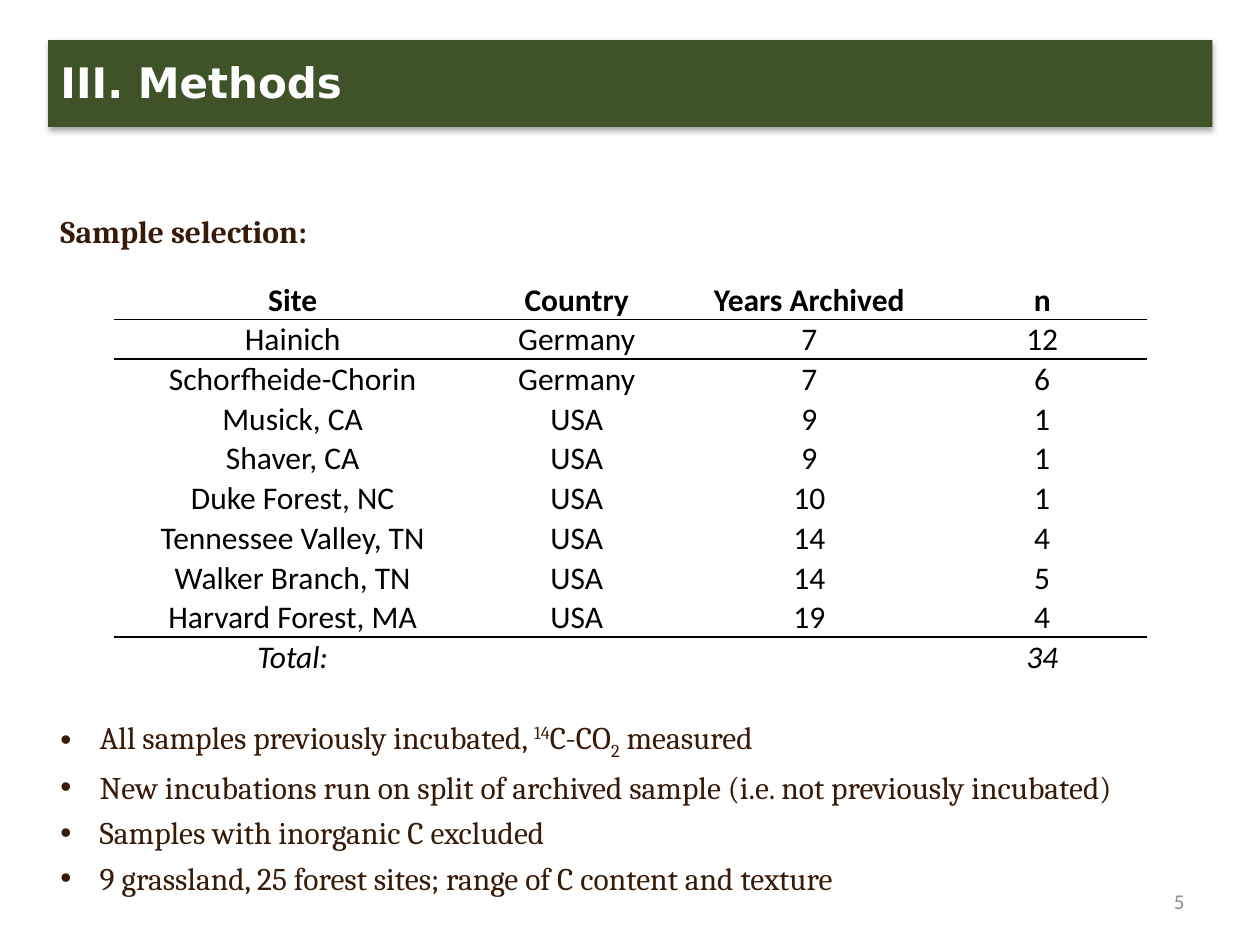
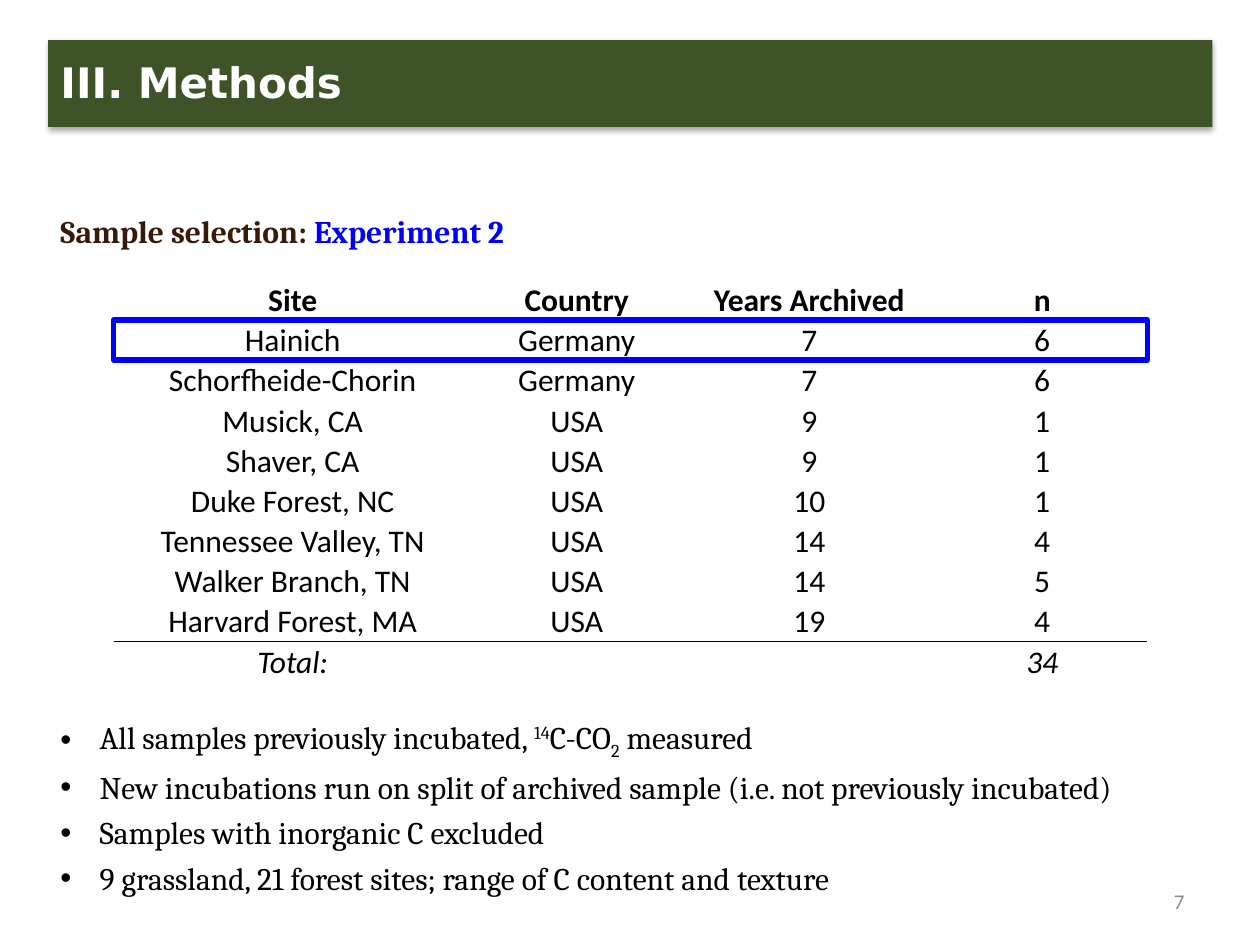
from lxml.etree import SubElement
from pptx import Presentation
from pptx.dml.color import RGBColor
from pptx.enum.shapes import MSO_SHAPE
from pptx.enum.text import MSO_ANCHOR, MSO_AUTO_SIZE, PP_ALIGN
from pptx.oxml.ns import qn
from pptx.util import Cm, Pt

GREEN = RGBColor(0x3F, 0x53, 0x28)
BROWN = RGBColor(0x37, 0x1A, 0x07)
BLACK = RGBColor(0x00, 0x00, 0x00)
WHITE = RGBColor(0xFF, 0xFF, 0xFF)
BLUE = RGBColor(0x00, 0x00, 0xFF)
GREY = RGBColor(0x8C, 0x8C, 0x8C)

TITLE_FONT = {"name": "DejaVu Sans", "size": Pt(24), "bold": True, "color": WHITE}
HEADING_FONT = {"name": "Cambria", "size": Pt(18), "bold": True, "color": BROWN}
BODY_FONT = {"name": "Cambria", "size": Pt(18)}
TABLE_FONT = {"name": "Calibri", "size": Pt(18), "color": BLACK}
NUMBER_FONT = {"name": "Calibri", "size": Pt(12), "color": GREY}

LEFT = 0.97
BAND_WIDTH = 23.47
TABLE_LEFT = 2.29
TABLE_TOP = 5.64
COLUMN_WIDTHS = (7.22, 4.23, 5.15, 4.24)
NO_TABLE_STYLE = "{2D5ABB26-0587-4C30-8999-92F81FD0307C}"

HEADER = ("Site", "Country", "Years Archived", "n")
OTHER_SITES = (
    ("Schorfheide-Chorin", "Germany", "7", "6"),
    ("Musick, CA", "USA", "9", "1"),
    ("Shaver, CA", "USA", "9", "1"),
    ("Duke Forest, NC", "USA", "10", "1"),
    ("Tennessee Valley, TN", "USA", "14", "4"),
    ("Walker Branch, TN", "USA", "14", "5"),
    ("Harvard Forest, MA", "USA", "19", "4"),
)
TOTAL = ("Total:", "", "", "34")
INCUBATED = (
    ("All samples previously incubated, ", 0),
    ("14", 30),
    ("C-CO", 0),
    ("2", -25),
    (" measured", 0),
)


def add_run(paragraph, text, font_format, baseline=0):
    """Add a run with the given font format and baseline shift in percent."""
    run = paragraph.add_run()
    run.text = text
    for name, value in font_format.items():
        if name == "color":
            run.font.color.rgb = value
        else:
            setattr(run.font, name, value)
    if baseline:
        run.font._element.set("baseline", str(baseline * 1000))


def add_text_box(slide, left, top, width, height):
    """Add a wrapping text box and return its text frame."""
    text_frame = slide.shapes.add_textbox(
        Cm(left), Cm(top), Cm(width), Cm(height)
    ).text_frame
    text_frame.word_wrap = True
    return text_frame


def add_rectangle(slide, left, top, width, height):
    """Add a rectangle without shadow."""
    shape = slide.shapes.add_shape(
        MSO_SHAPE.RECTANGLE, Cm(left), Cm(top), Cm(width), Cm(height)
    )
    shape.shadow.inherit = False
    return shape


def add_soft_shadow(shape):
    """Give a shape a soft shadow that falls straight down."""
    effects = shape._element.spPr.find(qn("a:effectLst"))
    shadow = SubElement(
        effects, qn("a:outerShdw"), blurRad="40000", dist="23000",
        dir="5400000", rotWithShape="0",
    )
    color = SubElement(shadow, qn("a:srgbClr"), val=str(BLACK))
    SubElement(color, qn("a:alpha"), val="35000")


def add_title_band(slide, title):
    """Add the green band with the section title."""
    band = add_rectangle(slide, LEFT, 0.81, BAND_WIDTH, 1.75)
    band.fill.solid()
    band.fill.fore_color.rgb = GREEN
    band.line.fill.background()
    add_soft_shadow(band)
    text_frame = add_text_box(slide, LEFT, 1.02, BAND_WIDTH, 1.27)
    add_run(text_frame.paragraphs[0], title, TITLE_FONT)


def add_heading(slide, heading, experiment):
    """Add the heading, followed by the experiment name in blue if any."""
    text_frame = add_text_box(slide, LEFT, 3.99, 17.7, 1.14)
    paragraph = text_frame.paragraphs[0]
    paragraph.line_spacing = 1.2
    paragraph.space_after = Pt(12)
    if experiment:
        add_run(paragraph, heading + " ", HEADING_FONT)
        add_run(paragraph, experiment, HEADING_FONT | {"color": BLUE})
    else:
        add_run(paragraph, heading, HEADING_FONT)


def add_border(cell, side):
    """Draw a thin black border on one side of a cell."""
    line = SubElement(cell._tc.get_or_add_tcPr(), qn(f"a:{side}"), w=str(Pt(1)))
    fill = SubElement(line, qn("a:solidFill"))
    SubElement(fill, qn("a:srgbClr"), val=str(BLACK))


def fill_cell(cell, text, font_format):
    """Write centred text at the bottom of an unfilled cell."""
    cell_format = {
        "vertical_anchor": MSO_ANCHOR.BOTTOM,
        "margin_left": Cm(0.03),
        "margin_right": Cm(0.03),
        "margin_top": Cm(0.03),
        "margin_bottom": 0,
    }
    for name, value in cell_format.items():
        setattr(cell, name, value)
    cell.fill.background()
    paragraph = cell.text_frame.paragraphs[0]
    paragraph.alignment = PP_ALIGN.CENTER
    if text:
        add_run(paragraph, text, font_format)


def add_site_table(slide, rows, row_height):
    """Add the site table, ruled below its header and above its total."""
    table = slide.shapes.add_table(
        len(rows), len(HEADER), Cm(TABLE_LEFT), Cm(TABLE_TOP),
        Cm(sum(COLUMN_WIDTHS)), Cm(row_height * len(rows)),
    ).table
    table.first_row = False
    table.horz_banding = False
    table._tbl.tblPr.find(qn("a:tableStyleId")).text = NO_TABLE_STYLE
    for column, width in zip(table.columns, COLUMN_WIDTHS):
        column.width = Cm(width)
    last = len(rows) - 1
    for row_index, texts in enumerate(rows):
        table.rows[row_index].height = Cm(row_height)
        font_format = TABLE_FONT | {
            "bold": row_index == 0, "italic": row_index == last
        }
        for column_index, text in enumerate(texts):
            cell = table.cell(row_index, column_index)
            if row_index in (1, last):
                add_border(cell, "lnT")
            if row_index in (0, last - 1):
                add_border(cell, "lnB")
            fill_cell(cell, text, font_format)


def add_row_highlight(slide, row_index, row_height):
    """Frame one table row in blue."""
    frame = add_rectangle(
        slide, TABLE_LEFT, TABLE_TOP + row_index * row_height,
        sum(COLUMN_WIDTHS), row_height,
    )
    frame.fill.background()
    frame.line.color.rgb = BLUE
    frame.line.width = Pt(3)


def add_bullets(slide, bullets, color):
    """Add a bulleted list; each bullet is a series of runs."""
    text_frame = add_text_box(slide, LEFT, 14.17, 23.01, 3.91)
    text_frame.auto_size = MSO_AUTO_SIZE.SHAPE_TO_FIT_TEXT
    for index, runs in enumerate(bullets):
        paragraph = text_frame.add_paragraph() if index else text_frame.paragraphs[0]
        properties = paragraph._p.get_or_add_pPr()
        properties.set("marL", str(Cm(0.79)))
        properties.set("indent", str(-Cm(0.79)))
        SubElement(properties, qn("a:buFont"), typeface="Arial")
        SubElement(properties, qn("a:buChar"), char="•")
        paragraph.line_spacing = 1.2
        for text, baseline in runs:
            add_run(paragraph, text, BODY_FONT | {"color": color}, baseline)


def add_slide_number(slide, number):
    """Add the slide number at the bottom right."""
    text_frame = add_text_box(slide, 18.21, 17.65, 5.92, 1.02)
    text_frame.vertical_anchor = MSO_ANCHOR.MIDDLE
    paragraph = text_frame.paragraphs[0]
    paragraph.alignment = PP_ALIGN.RIGHT
    add_run(paragraph, str(number), NUMBER_FONT)


def add_methods_slide(presentation, number, hainich_count, forest_count,
                      row_height, text_color, experiment=None):
    """Add one sample selection slide, framing Hainich for an experiment."""
    slide = presentation.slides.add_slide(presentation.slide_layouts[6])
    hainich = ("Hainich", "Germany", "7", hainich_count)
    add_title_band(slide, "III. Methods")
    add_heading(slide, "Sample selection:", experiment)
    add_site_table(slide, (HEADER, hainich, *OTHER_SITES, TOTAL), row_height)
    sentences = (
        "New incubations run on split of archived sample "
        "(i.e. not previously incubated)",
        "Samples with inorganic C excluded",
        f"9 grassland, {forest_count} forest sites; "
        "range of C content and texture",
    )
    bullets = [INCUBATED, *(((sentence, 0),) for sentence in sentences)]
    add_bullets(slide, bullets, text_color)
    add_slide_number(slide, number)
    if experiment:
        add_row_highlight(slide, 1, row_height)


def main():
    """Build and save the presentation."""
    presentation = Presentation()
    presentation.slide_width = Cm(25.4)
    presentation.slide_height = Cm(19.05)
    add_methods_slide(presentation, 5, "12", 25, 0.8, BROWN)
    add_methods_slide(presentation, 7, "6", 21, 0.81, BLACK, "Experiment 2")
    presentation.save("out.pptx")


if __name__ == "__main__":
    main()
